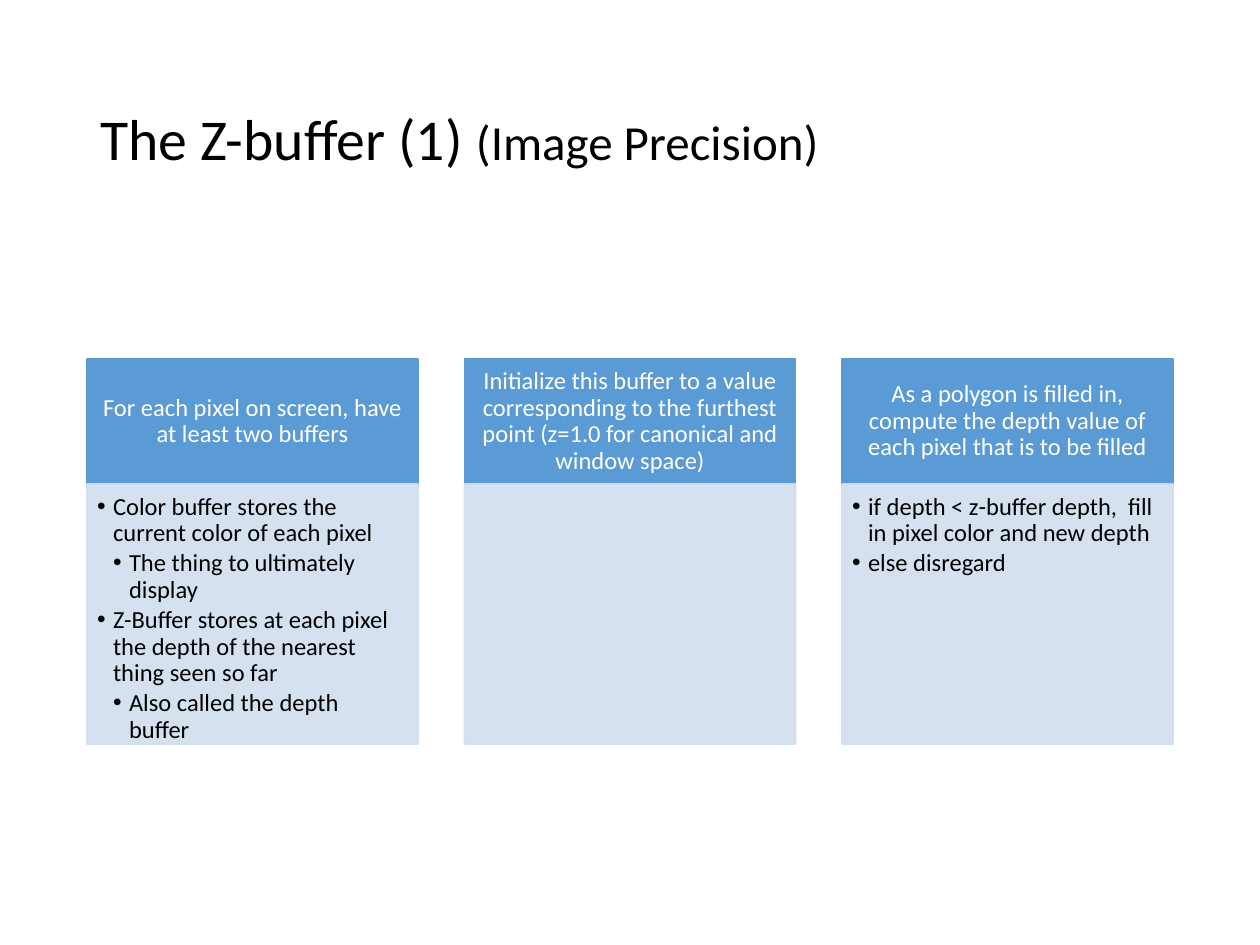
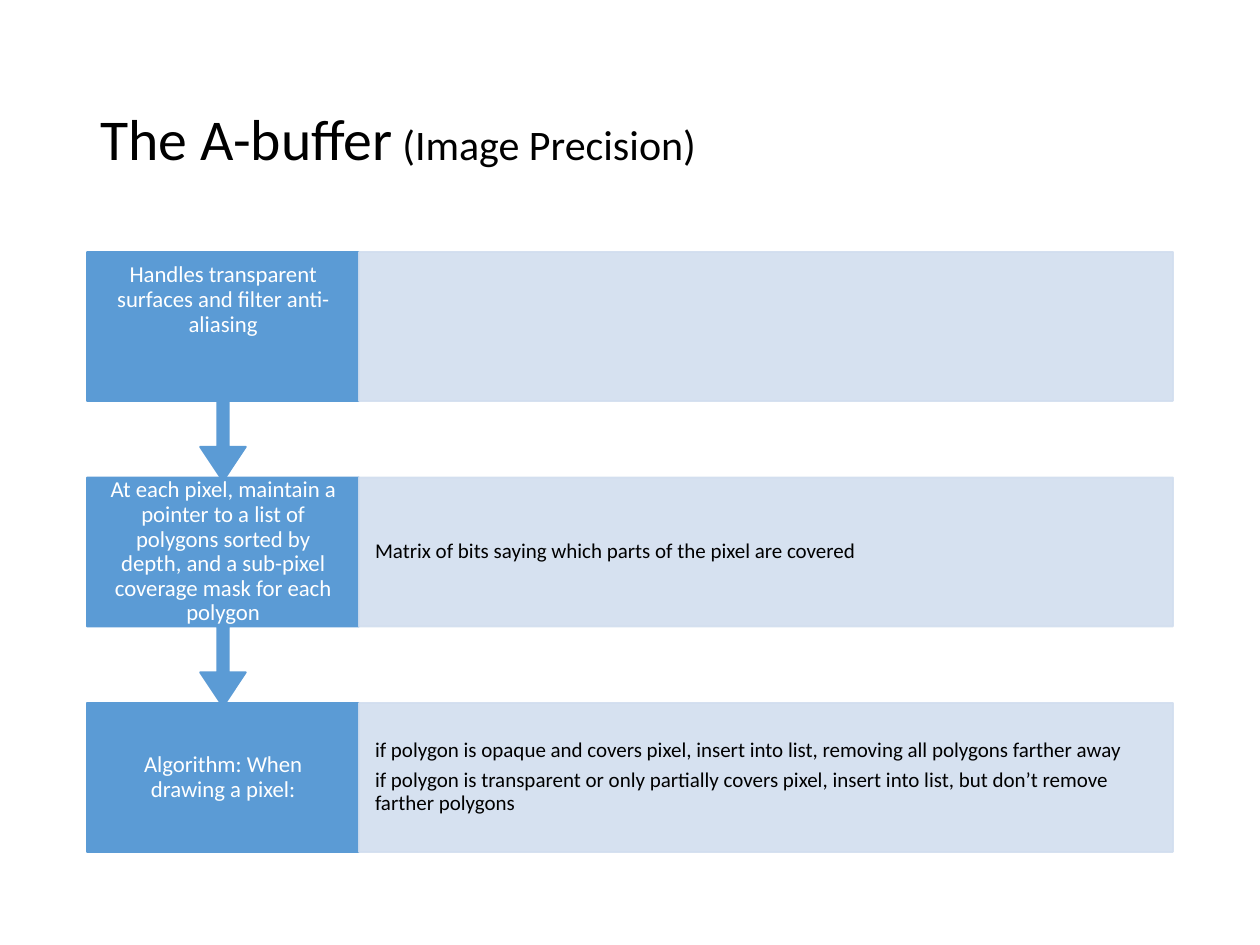
import pptx
import pptx.dml.color
import pptx.enum.shapes
import pptx.enum.text
import pptx.util
from lxml import etree

RGB = pptx.dml.color.RGBColor
SHAPE = pptx.enum.shapes.MSO_SHAPE
ALIGN = pptx.enum.text.PP_ALIGN
ANCHOR = pptx.enum.text.MSO_ANCHOR

BLUE = RGB(0x5B, 0x9B, 0xD5)
PALE = RGB(0xD2, 0xDE, 0xEF)
WHITE = RGB(0xFF, 0xFF, 0xFF)
BLACK = RGB(0x00, 0x00, 0x00)
FONT = "Calibri"
TITLE_BOX = (87, 50, 1086, 183)
DRAWING_NS = "http://schemas.openxmlformats.org/drawingml/2006/main"


def px(n):
    """Turn pixels, 126 to the inch, into EMU."""
    return pptx.util.Emu(round(n * 914400 / 126))


def sub(parent, tag, **attrs):
    """Append a DrawingML element."""
    return etree.SubElement(parent, "{%s}%s" % (DRAWING_NS, tag), **attrs)


def add_run(p, text, size, color):
    """Add one formatted run to a paragraph."""
    r = p.add_run()
    r.text = text
    r.font.name = FONT
    r.font.size = pptx.util.Pt(size)
    r.font.color.rgb = color


def set_frame(tf, anchor, insets):
    """Set wrapping, anchor and left, top, right, bottom insets."""
    tf.word_wrap = True
    tf.auto_size = pptx.enum.text.MSO_AUTO_SIZE.NONE
    tf.vertical_anchor = anchor
    tf.margin_left, tf.margin_top, tf.margin_right, tf.margin_bottom = map(px, insets)


def add_panel(s, box, color, kind=SHAPE.RECTANGLE, alpha=None):
    """Add a filled shape with a line of the same colour."""
    sp = s.shapes.add_shape(kind, *map(px, box))
    sp.shadow.inherit = False
    sp.fill.solid()
    sp.fill.fore_color.rgb = color
    sp.line.color.rgb = color
    sp.line.width = pptx.util.Pt(1)
    if alpha:
        for clr in sp._element.spPr.iter("{%s}srgbClr" % DRAWING_NS):
            sub(clr, "alpha", val=str(alpha * 1000))
    return sp


def add_heading(sp, text, size, insets):
    """Write a centred white heading in a panel."""
    set_frame(sp.text_frame, ANCHOR.MIDDLE, insets)
    p = sp.text_frame.paragraphs[0]
    p.alignment = ALIGN.CENTER
    p.line_spacing = 0.9
    add_run(p, text, size, WHITE)


def add_details(sp, items, size, anchor, insets, after):
    """Write (level, text) paragraphs; levels above 0 get a bullet."""
    tf = sp.text_frame
    set_frame(tf, anchor, insets)
    for i, (level, text) in enumerate(items):
        p = tf.add_paragraph() if i else tf.paragraphs[0]
        p.alignment = ALIGN.LEFT
        p.level = level
        p.line_spacing = 0.9
        p.space_after = pptx.util.Pt(after)
        if level:
            pPr = p._p.get_or_add_pPr()
            pPr.set("marL", str(px(16 * level)))
            pPr.set("indent", str(-px(16)))
            sub(pPr, "buFont", typeface="Arial")
            sub(pPr, "buChar", char="•")
        add_run(p, text, size, BLACK)


def add_titled_slide(prs, runs):
    """Add a title-only slide whose title is made of (text, size) runs."""
    s = prs.slides.add_slide(prs.slide_layouts[5])
    title = s.shapes.title
    title.left, title.top, title.width, title.height = map(px, TITLE_BOX)
    set_frame(title.text_frame, ANCHOR.MIDDLE, (13, 6, 13, 6))
    p = title.text_frame.paragraphs[0]
    p.alignment = ALIGN.LEFT
    p.line_spacing = 0.9
    for text, size in runs:
        add_run(p, text, size, BLACK)
    return s


def add_columns(s, box, columns):
    """Place equal columns, each a heading over a detail panel."""
    x, y, w, h = box
    col_w, head_h = 331, 125
    pitch = (w - col_w) / (len(columns) - 1)
    for i, (heading, items) in enumerate(columns):
        left = x + i * pitch
        head = add_panel(s, (left, y, col_w, head_h), BLUE)
        add_heading(head, heading, 14, (14, 8, 14, 8))
        body = add_panel(s, (left, y + head_h, col_w, h - head_h), PALE, alpha=90)
        if items:
            add_details(body, items, 14, ANCHOR.TOP, (10, 10, 14, 16), 2.1)


def add_steps(s, box, steps):
    """Stack steps, last first, so each arrow lies over the next step."""
    x, y, w, h = box
    row_h, head_w, box_share = 149, 272, 0.65
    pitch = (h - row_h) / (len(steps) - 1)
    last = len(steps) - 1
    for i, (heading, items, bottom) in reversed(list(enumerate(steps))):
        top = y + i * pitch
        if i == last:
            head = add_panel(s, (x, top, head_w, row_h), BLUE)
        else:
            head = add_panel(s, (x, top, head_w, row_h / box_share), BLUE,
                             SHAPE.DOWN_ARROW_CALLOUT)
            for n, value in enumerate((0.05, 0.1, 0.15, box_share)):
                head.adjustments[n] = value
        add_heading(head, heading, 13, (19, 13, 19, bottom))
        body = add_panel(s, (x + head_w, top, w - head_w, row_h), PALE, alpha=90)
        if items:
            add_details(body, items, 12, ANCHOR.MIDDLE, (16, 21, 16, 21), 4.2)


Z_BUFFER = [
    ("For each pixel on screen, have at least two buffers", [
        (1, "Color buffer stores the current color of each pixel"),
        (2, "The thing to ultimately display"),
        (1, "Z-Buffer stores at each pixel the depth of the nearest thing seen so far"),
        (2, "Also called the depth buffer")]),
    ("Initialize this buffer to a value corresponding to the furthest point "
     "(z=1.0 for canonical and window space)", []),
    ("As a polygon is filled in, compute the depth value of each pixel that is to be filled", [
        (1, "if depth < z-buffer depth,  fill in pixel color and new depth"),
        (1, "else disregard")]),
]

# Heading, details, and the space kept below the heading
A_BUFFER = [
    ("Handles transparent surfaces and filter anti-aliasing", [], 66),
    ("At each pixel, maintain a pointer to a list of polygons sorted by depth, "
     "and a sub-pixel coverage mask for each polygon",
     [(0, "Matrix of bits saying which parts of the pixel are covered")], 13),
    ("Algorithm: When drawing a pixel:", [
        (0, "if polygon is opaque and covers pixel, insert into list, "
            "removing all polygons farther away"),
        (0, "if polygon is transparent or only partially covers pixel, "
            "insert into list, but don’t remove farther polygons")], 13),
]

prs = pptx.Presentation()
prs.slide_width, prs.slide_height = px(1260), px(945)

s = add_titled_slide(prs, [("The Z-buffer (1) ", 33), ("(Image Precision)", 28)])
add_columns(s, (87, 359, 1086, 385), Z_BUFFER)

s = add_titled_slide(prs, [("The A-buffer", 33), (" (Image Precision)", 24)])
add_steps(s, (87, 252, 1086, 600), A_BUFFER)

prs.save("out.pptx")
